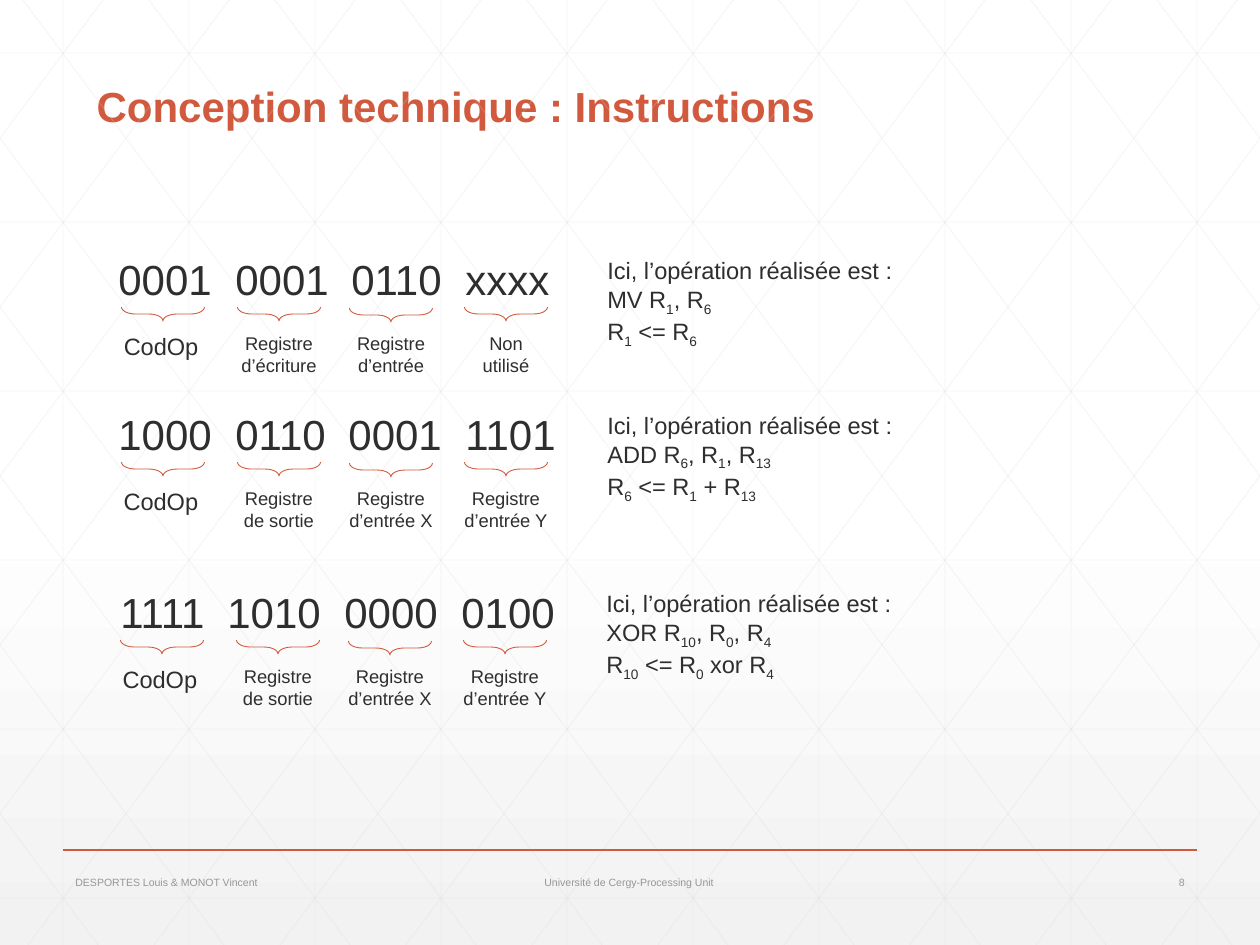
import itertools
from dataclasses import dataclass

import pptx
import pptx.util
import pptx.dml.color
import pptx.enum.shapes
import pptx.enum.text
import pptx.oxml.ns
from lxml import etree

ALIGN = pptx.enum.text.PP_ALIGN
ANCHOR = pptx.enum.text.MSO_ANCHOR
SHAPE = pptx.enum.shapes.MSO_SHAPE
WIDE, HIGH = 1260, 945


def px(n):
    return pptx.util.Emu(round(n * 914400 / 126))


def rgb(code):
    return pptx.dml.color.RGBColor.from_string(code)


def node(parent, tag, **attrs):
    return etree.SubElement(parent, pptx.oxml.ns.qn(tag), attrs)


@dataclass
class Theme:
    font: str = "Arial"
    accent: str = "D15A3E"
    ink: str = "2D2E2D"
    muted: str = "959795"
    grid: str = "D9D9D9"
    white: str = "FFFFFF"
    shade: str = "F2F2F2"
    big: float = 24
    body: float = 13.5
    label: float = 10.5
    small: float = 6


class Deck:
    def __init__(self, theme):
        self.theme = theme
        self.file = pptx.Presentation()
        self.file.slide_width, self.file.slide_height = px(WIDE), px(HIGH)
        self.slide = self.file.slides.add_slide(self.file.slide_layouts[5])

    def back(self):
        fill = self.slide.background.fill
        fill.gradient()
        fill.gradient_angle = 270
        colors = (self.theme.white, self.theme.shade)
        for stop, color, place in zip(fill.gradient_stops, colors, (0.53, 1)):
            stop.color.rgb = rgb(color)
            stop.position = place

    def style(self, para, size, color, align=ALIGN.LEFT, bold=False):
        para.alignment = align
        font = para.font
        font.name, font.size, font.bold = self.theme.font, pptx.util.Pt(size), bold
        font.color.rgb = rgb(color)

    def title(self, text, x, y, w, h):
        box = self.slide.shapes.title
        box.left, box.top, box.width, box.height = map(px, (x, y, w, h))
        frame = box.text_frame
        frame.text = text
        frame.auto_size = pptx.enum.text.MSO_AUTO_SIZE.NONE
        frame.vertical_anchor = ANCHOR.BOTTOM
        para = frame.paragraphs[0]
        para.line_spacing = 0.9
        self.style(para, self.theme.big, self.theme.accent, bold=True)

    def line(self, x1, y1, x2, y2, color, width, alpha=100):
        kind = pptx.enum.shapes.MSO_CONNECTOR.STRAIGHT
        item = self.slide.shapes.add_connector(kind, px(x1), px(y1), px(x2), px(y2))
        item.line.color.rgb = rgb(color)
        item.line.width = pptx.util.Pt(width)
        if alpha < 100:
            tint = next(item.line._ln.iter(pptx.oxml.ns.qn("a:srgbClr")))
            node(tint, "a:alpha", val=str(alpha * 1000))
        node(item._element.spPr, "a:effectLst")

    def text(self, text, x, y, w, h, size, color=None, align=ALIGN.LEFT, anchor=ANCHOR.TOP):
        box = self.slide.shapes.add_textbox(px(x), px(y), px(w), px(h))
        frame = box.text_frame
        frame.word_wrap = True
        frame.vertical_anchor = anchor
        frame.text = text
        for para in frame.paragraphs:
            self.style(para, size, color or self.theme.ink, align)
        return frame

    def code(self, words, stops, x, y):
        frame = self.text("\t".join(words), x, y, 470, 63, self.theme.big)
        props = frame.paragraphs[0]._p.get_or_add_pPr()
        tabs = etree.Element(pptx.oxml.ns.qn("a:tabLst"))
        for stop in stops:
            node(tabs, "a:tab", pos=str(px(stop)), algn="l")
        props.find(pptx.oxml.ns.qn("a:defRPr")).addprevious(tabs)

    def brace(self, x, y):
        # A left brace turned to open upward, centred on x, y
        w, h = 14, 83
        item = self.slide.shapes.add_shape(
            SHAPE.LEFT_BRACE, px(x - w / 2), px(y - h / 2), px(w), px(h))
        item.rotation = 270
        item.adjustments[0] = 0.996
        item.shadow.inherit = False
        item.fill.background()
        item.line.color.rgb = rgb(self.theme.accent)
        item.line.width = pptx.util.Pt(0.5)

    def notes(self, intro, lines, x, y):
        # Register numbers are set as subscripts
        frame = self.text("", x, y, 508, 98, self.theme.body)
        first = frame.paragraphs[0]
        first.add_run().text = intro
        first.add_line_break()
        last = frame.add_paragraph()
        self.style(last, self.theme.body, self.theme.ink)
        for para, line in zip((first, last), lines):
            for digit, part in itertools.groupby(line, str.isdigit):
                run = para.add_run()
                run.text = "".join(part)
                if digit:
                    run._r.get_or_add_rPr().set("baseline", "-25000")


def lattice(deck):
    def draw(*ends):
        deck.line(*ends, deck.theme.grid, 0.5, 25)

    for x in range(63, WIDE, 126):
        draw(x, 0, x, HIGH)
    for y in range(53, HIGH, 169):
        draw(0, y, WIDE, y)
    # Slanted lines, clipped to the slide, and their mirror images
    run = 705
    for start in range(23 - 5 * 126, WIDE, 126):
        x1, x2 = max(0, start), min(WIDE, start + run)
        y1, y2 = ((x - start) * HIGH / run for x in (x1, x2))
        draw(x1, y1, x2, y2)
        draw(WIDE - x1, y1, WIDE - x2, y2)


# Each row: top, shift, label width, code left, tab stops, words, labels, lines
ROWS = [
    (247, 0, 107, 106, (117, 233, 347), ("0001", "0001", "0110", "xxxx"),
     ("CodOp", "Registre d’écriture", "Registre d’entrée", "Non utilisé"),
     ("MV R1, R6", "R1 <= R6")),
    (402, 0, 116, 106, (117, 230, 347), ("1000", "0110", "0001", "1101"),
     ("CodOp", "Registre de sortie", "Registre d’entrée X", "Registre d’entrée Y"),
     ("ADD R6, R1, R13", "R6 <= R1 + R13")),
    (580, -1, 116, 108, (107, 224, 341), ("1111", "1010", "0000", "0100"),
     ("CodOp", "Registre de sortie", "Registre d’entrée X", "Registre d’entrée Y"),
     ("XOR R10, R0, R4", "R10 <= R0 xor R4")),
]
BRACES = ((163, 0), (279, 0), (391, 1), (506, 0))


def main():
    theme = Theme()
    deck = Deck(theme)

    # Backdrop and footer
    deck.back()
    lattice(deck)
    deck.line(63, 850, 1197, 850, theme.accent, 1)
    for text, x, w, align in (
            ("Université de Cergy-Processing Unit", 520, 218, ALIGN.CENTER),
            ("DESPORTES Louis & MONOT Vincent", 63, 218, ALIGN.LEFT),
            ("8", 1102, 95, ALIGN.RIGHT)):
        deck.text(text, x, 867, w, 30, theme.small, theme.muted, align, ANCHOR.MIDDLE)

    # Title
    deck.title("Conception technique : Instructions", 84, 48, 1092, 90)

    # Instruction rows
    for top, shift, width, left, stops, words, labels, lines in ROWS:
        deck.code(words, stops, left, top)
        for (x, drop), label in zip(BRACES, labels):
            mid = x + shift
            deck.brace(mid, top + 67 + drop)
            size = theme.body if label == "CodOp" else theme.label
            deck.text(label, mid - 2 * (x == 163) - width / 2, top + 79, width, 57,
                      size, align=ALIGN.CENTER)
        deck.notes("Ici, l’opération réalisée est :", lines, 595 + shift, top + 3)

    deck.file.save("out.pptx")


if __name__ == "__main__":
    main()
